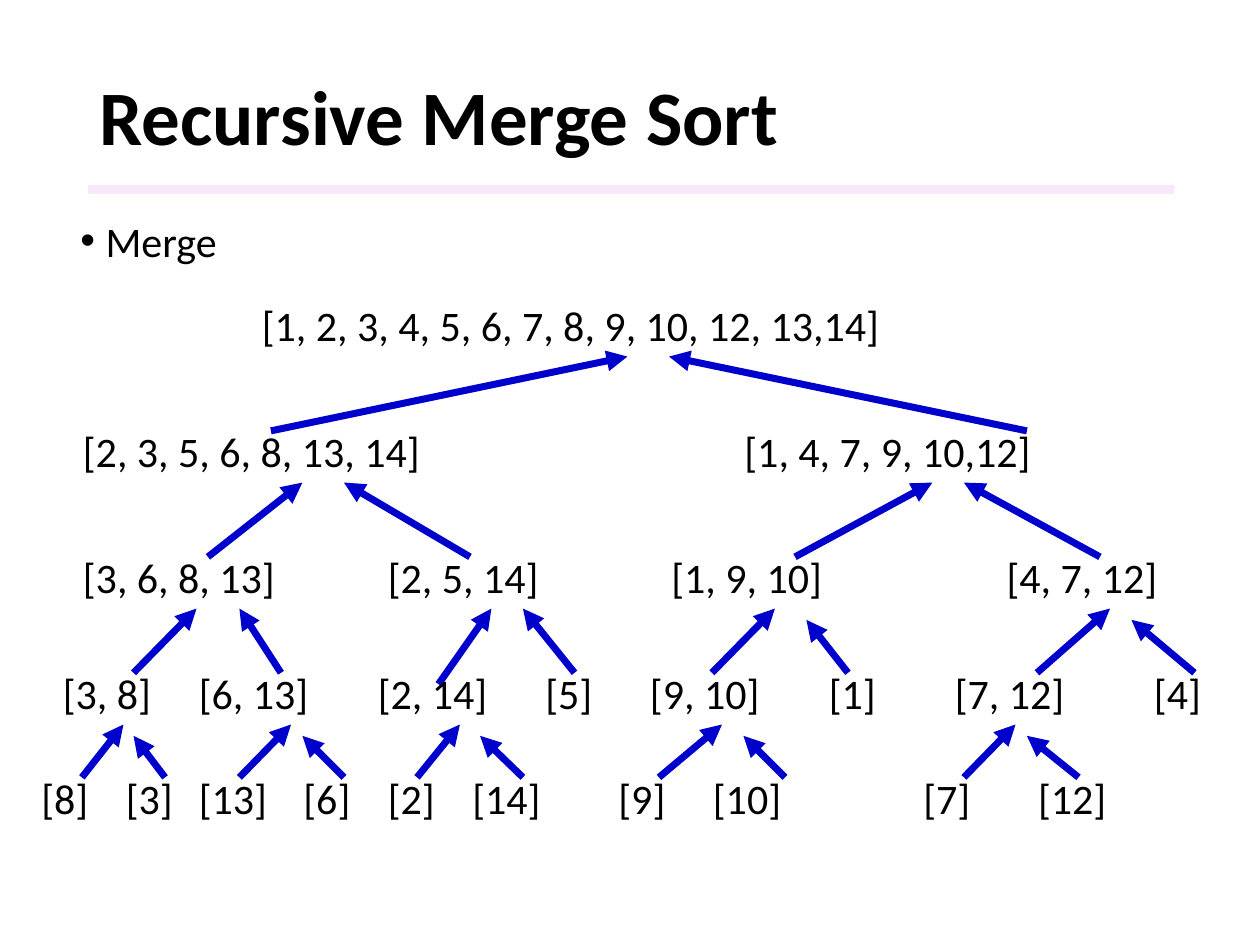
from lxml.etree import SubElement
from pptx import Presentation
from pptx.dml.color import RGBColor
from pptx.enum.shapes import MSO_CONNECTOR, MSO_SHAPE
from pptx.enum.text import MSO_ANCHOR, PP_ALIGN
from pptx.oxml.ns import qn
from pptx.util import Inches, Pt

BLACK = RGBColor(0x00, 0x00, 0x00)
BLUE = RGBColor(0x00, 0x00, 0xCC)
PINK = RGBColor(0xF3, 0xD2, 0xF4)
FONT = "Calibri"
BODY_SIZE = 24
BOX_HEIGHT = 0.51
TIP_GAP = 0.5
TAIL_GAP = 0.09
DROP = 0.09

ROW_TOPS = [2.33, 3.33, 4.33, 5.25, 6.08]

# Each list is (text, left, width).
LISTS = [
    [("[1, 2, 3, 4, 5, 6, 7, 8, 9, 10, 12, 13,14]", 1.98, 7)],
    [("[2, 3, 5, 6, 8, 13, 14]", 0.56, 4), ("[1, 4, 7, 9, 10,12]", 5.81, 3.67)],
    [("[3, 6, 8, 13]", 0.56, 2.33), ("[2, 5, 14]", 2.98, 2),
     ("[1, 9, 10]", 5.23, 1.84), ("[4, 7, 12]", 7.89, 1.92)],
    [("[3, 8]", 0.4, 1.17), ("[6, 13]", 1.48, 1.5), ("[2, 14]", 2.9, 1.42),
     ("[5]", 4.23, 0.75), ("[9, 10]", 5.06, 1.42), ("[1]", 6.48, 0.84),
     ("[7, 12]", 7.48, 1.59), ("[4]", 9.06, 0.92)],
    [("[8]", 0.23, 0.75), ("[3]", 0.9, 0.83), ("[13]", 1.48, 1),
     ("[6]", 2.31, 0.83), ("[2]", 2.98, 0.83), ("[14]", 3.65, 1.08),
     ("[9]", 4.81, 0.84), ("[10]", 5.56, 1), ("[7]", 7.23, 0.75),
     ("[12]", 8.14, 1)],
]

# Each arrow is (tip x, tail x, tip drop, tail drop).
ARROWS = [
    [(4.98, 2.15, 0, 0), (5.31, 8.15, 0, 0)],
    [(2.4, 1.65, 0, 0), (2.73, 3.73, 0, 0), (7.4, 6.31, 0, 0), (7.65, 8.73, 0, 0)],
    [(1.56, 1.06, 0, 0), (1.9, 2.23, 0, 0), (3.9, 3.48, 0, DROP),
     (4.15, 4.56, 0, 0), (6.15, 5.65, 0, 0), (6.4, 6.73, DROP, 0),
     (8.81, 8.23, 0, 0), (8.98, 9.48, DROP, 0)],
    [(0.98, 0.65, 0, 0), (1.06, 1.31, DROP, 0), (2.31, 1.9, 0, 0),
     (2.4, 2.73, DROP, 0), (3.65, 3.31, 0, 0), (3.81, 4.15, DROP, 0),
     (5.73, 5.23, 0, 0), (5.9, 6.23, DROP, 0), (8.06, 7.65, 0, 0),
     (8.15, 8.56, DROP, 0)],
]


def style(p, size, bold=False):
    """Set the font of a paragraph's runs."""
    for r in p.runs:
        r.font.name, r.font.size, r.font.bold = FONT, Pt(size), bold
        r.font.color.rgb = BLACK


def add_text(s, text, left, top, width, height=BOX_HEIGHT):
    """Add a body text box and return its paragraph."""
    tf = s.shapes.add_textbox(*map(Inches, (left, top, width, height))).text_frame
    tf.word_wrap = True
    tf.text = text
    style(tf.paragraphs[0], BODY_SIZE)
    return tf.paragraphs[0]


def add_arrow(s, tip, tail):
    """Draw a line whose arrowhead is at the tip."""
    line = s.shapes.add_connector(MSO_CONNECTOR.STRAIGHT, *map(Inches, tip + tail))
    line.line.color.rgb = BLUE
    line.line.width = Pt(4)
    SubElement(line.line._get_or_add_ln(), qn("a:headEnd"), type="triangle")
    SubElement(line._element.spPr, qn("a:effectLst"))


def add_title(s, text):
    """Fill the title and draw the band below it."""
    band = s.shapes.add_shape(MSO_SHAPE.RECTANGLE, *map(Inches, (0.7, 1.47, 8.62, 0.07)))
    band.shadow.inherit = False
    band.line.fill.background()
    band.fill.solid()
    band.fill.fore_color.rgb = PINK
    SubElement(band._element.spPr.find(".//" + qn("a:srgbClr")), qn("a:alpha"), val="50000")
    title = s.shapes.title
    title.left, title.top, title.width, title.height = map(Inches, (0.69, 0.4, 8.62, 1.11))
    tf = title.text_frame
    tf.text = text
    tf.vertical_anchor = MSO_ANCHOR.MIDDLE
    p = tf.paragraphs[0]
    p.alignment, p.line_spacing = PP_ALIGN.LEFT, 0.9
    style(p, 44, bold=True)


def main():
    """Build the merge sort slide."""
    prs = Presentation()
    prs.slide_width, prs.slide_height = Inches(10), Inches(7.5)
    s = prs.slides.add_slide(prs.slide_layouts[5])
    add_title(s, "Recursive Merge Sort")
    for top, below, arrows in zip(ROW_TOPS, ROW_TOPS[1:], ARROWS):
        for tip_x, tail_x, tip_drop, tail_drop in arrows:
            add_arrow(s, (tip_x, top + TIP_GAP + tip_drop),
                      (tail_x, below + TAIL_GAP + tail_drop))
    for top, row in zip(ROW_TOPS, LISTS):
        for text, left, width in row:
            add_text(s, text, left, top, width)
    pPr = add_text(s, "Merge", 0.54, 1.66, 1.3, 0.5)._p.get_or_add_pPr()
    pPr.set("marL", str(Inches(0.2)))
    pPr.set("indent", str(Inches(-0.2)))
    SubElement(pPr, qn("a:buFont"), typeface="Arial")
    SubElement(pPr, qn("a:buChar"), char="•")
    prs.save("out.pptx")


if __name__ == "__main__":
    main()
